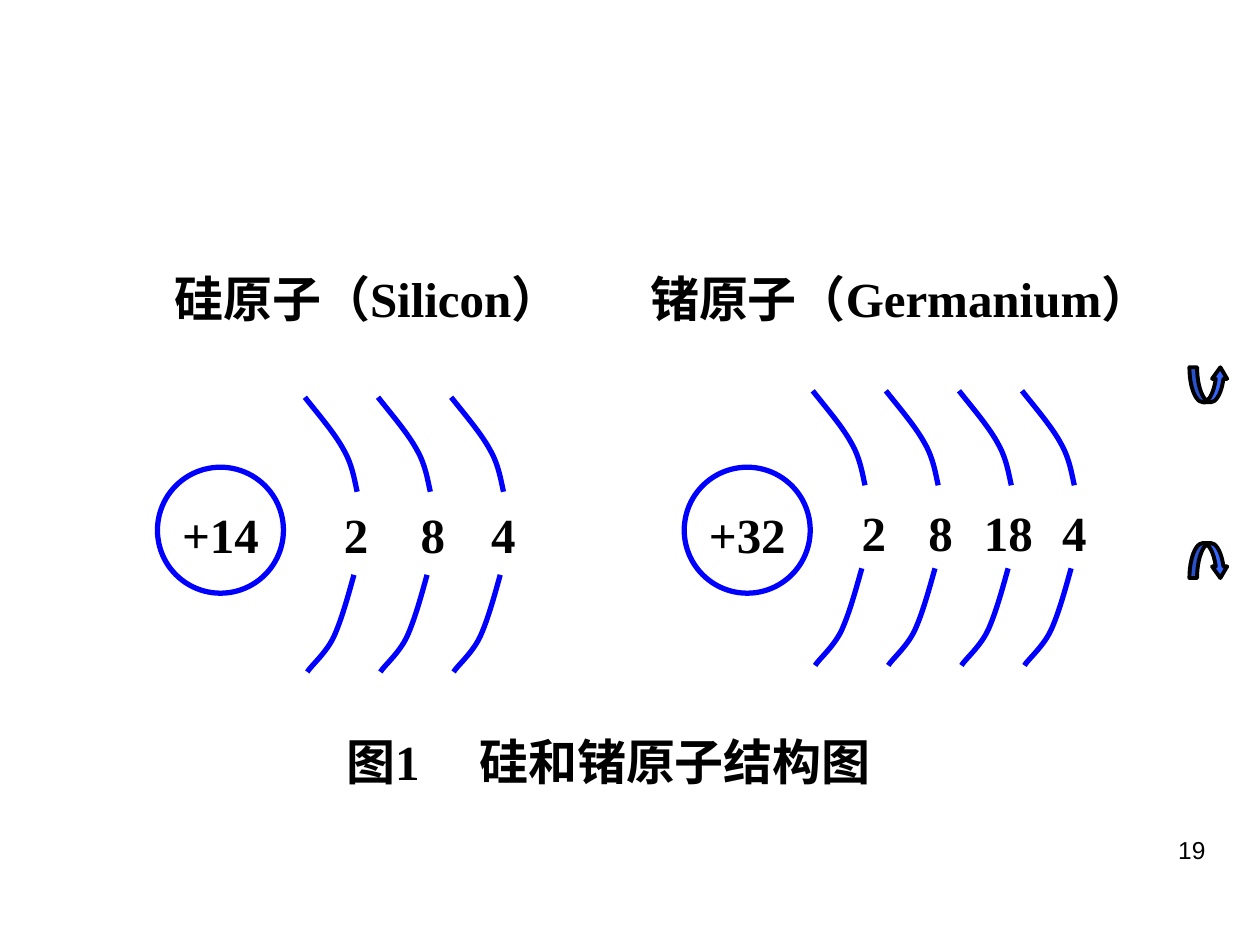
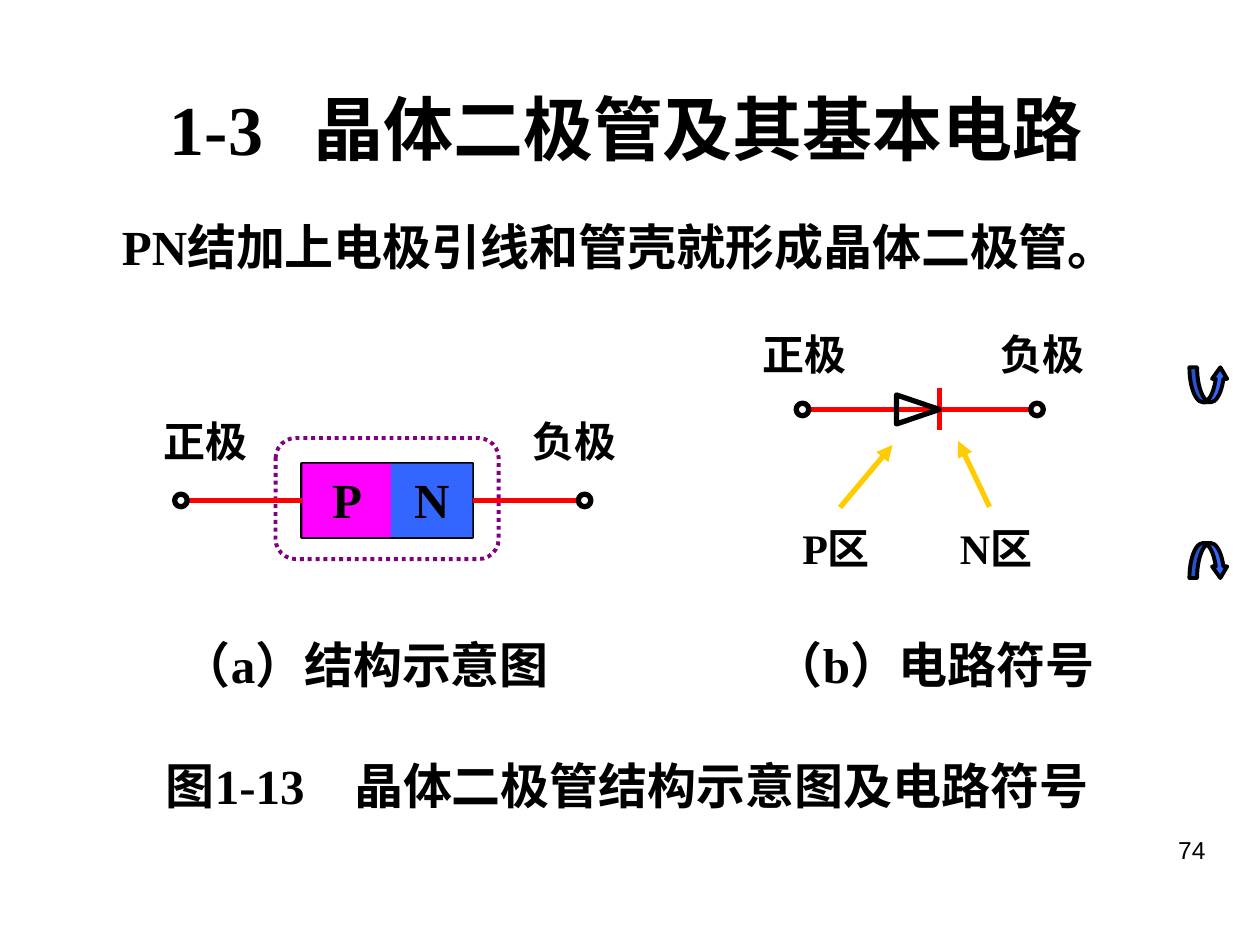
from dataclasses import dataclass
from typing import Optional

from lxml import etree
from pptx import Presentation
from pptx.dml.color import RGBColor
from pptx.enum.dml import MSO_LINE
from pptx.enum.shapes import MSO_CONNECTOR, MSO_SHAPE
from pptx.enum.text import MSO_ANCHOR, PP_ALIGN
from pptx.oxml.ns import qn
from pptx.util import Pt

# Shared colours and fonts
BLACK = RGBColor(0x00, 0x00, 0x00)
BLUE = RGBColor(0x00, 0x00, 0xFF)
SKY = RGBColor(0x33, 0x66, 0xFF)
RED = RGBColor(0xFF, 0x00, 0x00)
MAGENTA = RGBColor(0xFF, 0x00, 0xFF)
PURPLE = RGBColor(0x80, 0x00, 0x80)
GOLD = RGBColor(0xFF, 0xCC, 0x00)
SERIF = "Times New Roman"
SANS = "Arial"

# Bezier points of a shell, measured from its top left corner
UPPER_ARC = [(0, 0), (8.6, 10.8), (17.3, 20.9), (22.3, 30.2),
             (27.4, 38.9), (28.8, 49.7), (29.9, 54)]
LOWER_ARC = [(28.1, 101.5), (24.5, 114.5), (20.9, 127.4), (16.6, 136.8),
             (12.2, 146.2), (3.6, 153.4), (1.4, 157)]
TERMINAL = 7.2


@dataclass
class Label:
    text: str
    left: float
    top: float
    width: float
    height: float = 41
    size: float = 28
    align: PP_ALIGN = PP_ALIGN.LEFT
    wrap: bool = True
    tab: Optional[float] = None
    font: str = SERIF
    bold: bool = True


@dataclass
class Shell:
    left: float
    electrons: str
    text_left: float


@dataclass
class Atom:
    left: float
    charge: str
    shell_top: float
    text_top: float
    shells: list[Shell]


def write(shape, label: Label) -> None:
    frame = shape.text_frame
    for name, value in {"word_wrap": label.wrap,
                        "vertical_anchor": MSO_ANCHOR.TOP}.items():
        setattr(frame, name, value)
    para = frame.paragraphs[0]
    para.alignment = label.align
    if label.tab is not None:
        stops = etree.SubElement(para._p.get_or_add_pPr(), qn("a:tabLst"))
        etree.SubElement(stops, qn("a:tab"), pos=str(Pt(label.tab)), algn="l")
    span = para.add_run()
    span.text = label.text
    span.font.color.rgb = BLACK
    for name, value in {"name": label.font, "size": Pt(label.size),
                        "bold": label.bold}.items():
        setattr(span.font, name, value)


def add_label(page, label: Label) -> None:
    box = page.shapes.add_textbox(Pt(label.left), Pt(label.top),
                                  Pt(label.width), Pt(label.height))
    write(box, label)


def style(shape, fill: Optional[RGBColor], line: Optional[RGBColor],
          weight: float = 3) -> None:
    shape.shadow.inherit = False
    if fill is None:
        shape.fill.background()
    else:
        shape.fill.solid()
        shape.fill.fore_color.rgb = fill
    if line is None:
        shape.line.fill.background()
    else:
        shape.line.color.rgb = line
        shape.line.width = Pt(weight)


def add_shape(page, kind: MSO_SHAPE, left: float, top: float, width: float,
              height: float, fill: Optional[RGBColor] = None,
              line: Optional[RGBColor] = BLACK, weight: float = 3):
    shape = page.shapes.add_shape(kind, Pt(left), Pt(top), Pt(width), Pt(height))
    style(shape, fill, line, weight)
    return shape


def add_line(page, start: tuple[float, float], end: tuple[float, float],
             color: RGBColor, arrow: bool = False):
    line = page.shapes.add_connector(MSO_CONNECTOR.STRAIGHT,
                                     *(Pt(value) for value in start + end))
    line.line.color.rgb = color
    line.line.width = Pt(3)
    if arrow:
        etree.SubElement(line.line._get_or_add_ln(), qn("a:tailEnd"), type="triangle")
    etree.SubElement(line._element.spPr, qn("a:effectLst"))
    return line


def add_arc(page, left: float, top: float, offsets: list[tuple[float, float]]) -> None:
    points = [(Pt(left + x), Pt(top + y)) for x, y in offsets]
    builder = page.shapes.build_freeform(*points[0], scale=1.0)
    builder.add_line_segments(points[1:], close=False)
    arc = builder.convert_to_shape()
    # Turn each three straight segments into one curve
    outline = arc._element.find(".//" + qn("a:path"))
    segments = outline.findall(qn("a:lnTo"))
    for first in range(0, len(segments), 3):
        curve = etree.SubElement(outline, qn("a:cubicBezTo"))
        for segment in segments[first:first + 3]:
            curve.append(segment[0])
            outline.remove(segment)
    style(arc, None, BLUE)


def add_page(deck, number: str):
    page = deck.slides.add_slide(deck.slide_layouts[6])
    # Navigation arrows
    for kind, top in ((MSO_SHAPE.CURVED_DOWN_ARROW, 310.3),
                      (MSO_SHAPE.CURVED_UP_ARROW, 209.9)):
        arrow = add_shape(page, kind, 679.7, top, 22, 20, SKY, BLACK, 2.25)
        for index, value in enumerate((0.22, 0.43, 0.33)):
            arrow.adjustments[index] = value
    # Page number
    add_label(page, Label(number, 516, 473.8, 180, 37.5, 14, PP_ALIGN.RIGHT,
                          font=SANS, bold=False))
    return page


def add_atom(page, atom: Atom) -> None:
    add_shape(page, MSO_SHAPE.OVAL, atom.left, 267, 72, 72, line=BLUE)
    add_label(page, Label(atom.charge, atom.left + 7, 285, 78))
    for shell in atom.shells:
        add_label(page, Label(shell.electrons, shell.text_left, atom.text_top, 50))
        for offsets in (UPPER_ARC, LOWER_ARC):
            add_arc(page, shell.left, atom.shell_top, offsets)


def add_terminal(page, left: float, wire: float) -> None:
    add_shape(page, MSO_SHAPE.OVAL, left, wire - TERMINAL / 2, TERMINAL, TERMINAL)


def add_poles(page, top: float, positive: float, negative: float) -> None:
    for text, left in (("正极", positive), ("负极", negative)):
        add_label(page, Label(text, left, top, 65, 36, 24))


def build_atoms(deck) -> None:
    page = add_page(deck, "19")
    add_atom(page, Atom(90, "+14", 227, 285, [
        Shell(174.2, "2", 189.4), Shell(216, "8", 233.3), Shell(257.8, "4", 273.6)]))
    add_atom(page, Atom(391, "+32", 223.3, 283.4, [
        Shell(464.4, "2", 485.3), Shell(506.2, "8", 523.4),
        Shell(548, "18", 555.2), Shell(584, "4", 599.8)]))
    for text, left, width in (("硅原子（Silicon）", 85.7, 248.4),
                              ("锗原子（Germanium）", 357.8, 313.2)):
        add_label(page, Label(text, left, 149.8, width, align=PP_ALIGN.CENTER, wrap=False))
    add_label(page, Label("图1\t硅和锗原子结构图", 190.8, 414.7, 331, tab=76))


def build_structure(page) -> None:
    wire = 286
    body_top, body_height = 265, 42
    add_shape(page, MSO_SHAPE.RECTANGLE, 172.8, body_top, 97.2, body_height, weight=2.25)
    regions = []
    for text, left, width, fill in (("P", 172.8, 51, MAGENTA), ("N", 223.4, 46.6, SKY)):
        region = add_shape(page, MSO_SHAPE.RECTANGLE, left, body_top, width,
                           body_height, fill, None)
        write(region, Label(text, left, body_top, width, align=PP_ALIGN.CENTER))
        regions.append(region)
    # Dotted case around both regions
    case = add_shape(page, MSO_SHAPE.ROUNDED_RECTANGLE, 157.5, 250.3, 127.5, 69.2,
                     line=PURPLE, weight=2.25)
    case.line.dash_style = MSO_LINE.ROUND_DOT
    # Leads and terminals
    add_line(page, (106.6, wire), (172.8, wire), RED).end_connect(regions[0], 1)
    add_line(page, (270, wire), (330, wire), RED).begin_connect(regions[1], 3)
    for left in (99.8, 330.5):
        add_terminal(page, left, wire)
    add_poles(page, 234, 86.4, 297.4)


def build_symbol(page) -> None:
    wire = 234
    for text, left, start, end in (("P区", 451.4, (480, 290), (510, 254.3)),
                                   ("N区", 541.4, (565.4, 289.6), (547.5, 252))):
        add_label(page, Label(text, left, 295.2, 56.5, 65, 24))
        add_line(page, start, end, GOLD, arrow=True)
    # Diode on its wire
    for start, end in (((462.2, wire), (527.8, wire)),
                       ((537, wire - 12), (537, wire + 12)),
                       ((527.8, wire), (588.5, wire))):
        add_line(page, start, end, RED)
    diode = add_shape(page, MSO_SHAPE.ISOSCELES_TRIANGLE, 516.2, wire - 12.25, 16.6, 24.5)
    diode.rotation = 90
    for left in (455, 589):
        add_terminal(page, left, wire)
    add_poles(page, 184.3, 428.4, 564.5)


def build_diode(deck) -> None:
    page = add_page(deck, "74")
    add_label(page, Label("1-3\t晶体二极管及其基本电路", 90, 45.4, 545, 55.5, 40, tab=82))
    add_label(page, Label("PN结加上电极引线和管壳就形成晶体二极管。", 62.6, 120.2, 591))
    add_label(page, Label("图1-13\t晶体二极管结构示意图及电路符号", 87.8, 428.4, 560,
                          wrap=False, tab=107.5))
    build_symbol(page)
    for text, left, width in (("（a）结构示意图", 90, 237.6), ("（b）电路符号", 428.4, 211)):
        add_label(page, Label(text, left, 359.3, width, align=PP_ALIGN.CENTER, wrap=False))
    build_structure(page)


def main() -> None:
    deck = Presentation()
    deck.slide_width, deck.slide_height = Pt(720), Pt(540)
    build_atoms(deck)
    build_diode(deck)
    deck.save("out.pptx")


if __name__ == "__main__":
    main()
